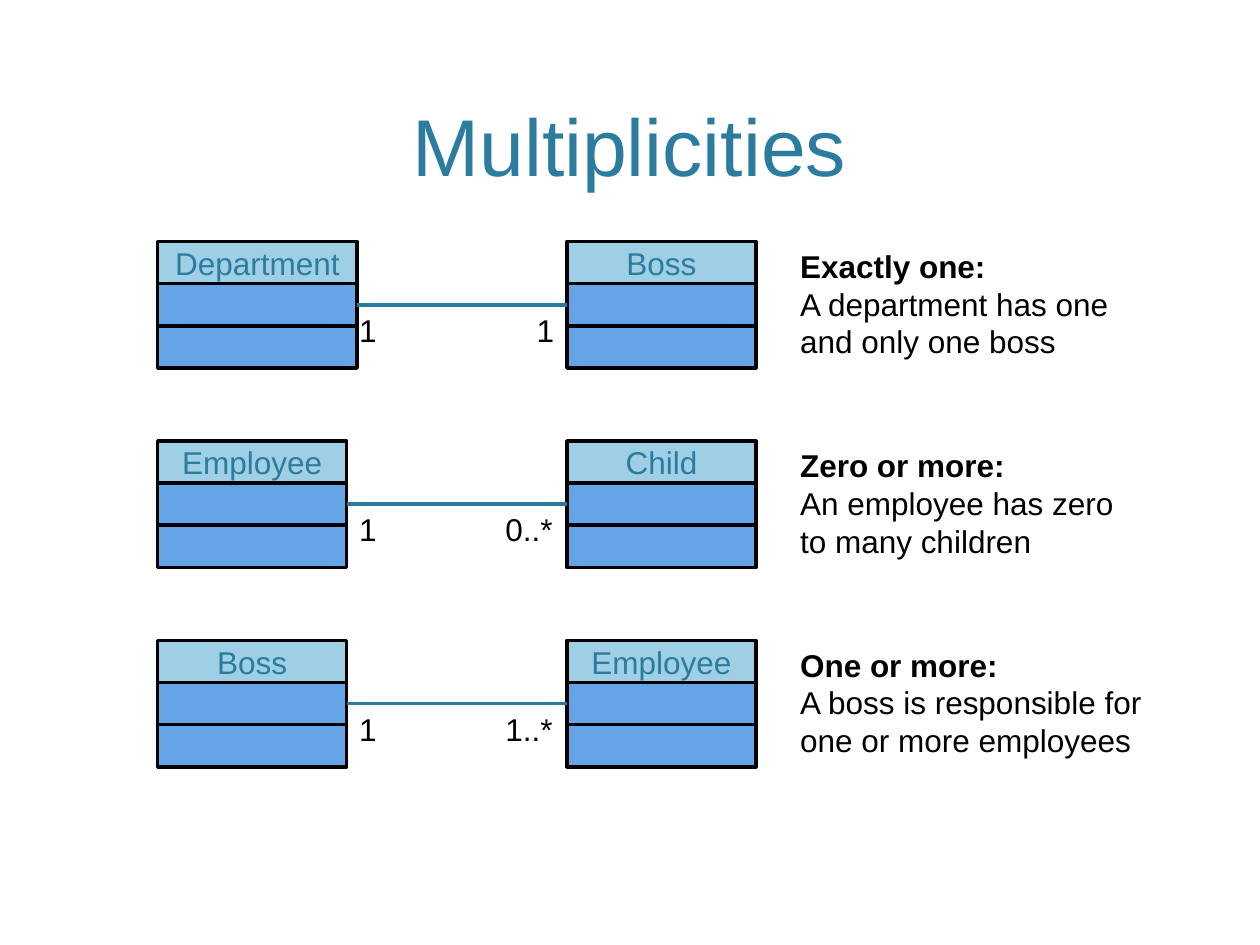
from pptx import Presentation
from pptx.dml.color import RGBColor
from pptx.enum.shapes import MSO_CONNECTOR, MSO_SHAPE
from pptx.enum.text import MSO_ANCHOR, MSO_AUTO_SIZE, PP_ALIGN
from pptx.util import Cm, Pt
from lxml import etree

TEAL = RGBColor(0x2C, 0x7C, 0x9F)
LINE_TEAL = RGBColor(0x28, 0x7A, 0x9E)
HEADER = RGBColor(0x9F, 0xCF, 0xE4)
BODY = RGBColor(0x66, 0xA4, 0xE8)
BLACK = RGBColor(0, 0, 0)
DRAWING_NS = "http://schemas.openxmlformats.org/drawingml/2006/main"

# Lengths in centimetres
ROW_TOP, ROW_STEP, CELL_HEIGHT = 4.87, 4.02, 0.85
LEFT_X, RIGHT_X, CLASS_WIDTH = 3.18, 11.43, 3.81
LABEL_X, LABEL_HEIGHT = 6.99, 1.02
NOTE_X, NOTE_RISE, NOTE_WIDTH, NOTE_HEIGHT = 15.88, 0.02, 7.42, 2.54

# Left class, its width, right class, right multiplicity, label width, note
ASSOCIATIONS = [
    ("Department", 4.02, "Boss", "1", 0.86,
     "Exactly one:", "A department has one and only one boss"),
    ("Employee", CLASS_WIDTH, "Child", "0..*", 1.49,
     "Zero or more:", "An employee has zero to many children"),
    ("Boss", CLASS_WIDTH, "Employee", "1..*", 1.49,
     "One or more:", "A boss is responsible for one or more employees"),
]


def add_span(para, text, color, size=18, bold=False):
    span = para.add_run()
    span.text = text
    span.font.name = "Arial"
    span.font.size = Pt(size)
    span.font.bold = bold
    span.font.color.rgb = color


def add_class(page, name, left, top, width):
    """Draw a three-part class and return its middle compartment."""
    group = page.shapes.add_group_shape()
    cells = []
    for index, fill in enumerate((HEADER, BODY, BODY)):
        cell = group.shapes.add_shape(
            MSO_SHAPE.RECTANGLE, Cm(left), Cm(top + index * CELL_HEIGHT),
            Cm(width), Cm(CELL_HEIGHT))
        cell.shadow.inherit = False
        cell.fill.solid()
        cell.fill.fore_color.rgb = fill
        cell.line.color.rgb = BLACK
        cell.line.width = Pt(2)
        cells.append(cell)
    frame = cells[0].text_frame
    frame.vertical_anchor = MSO_ANCHOR.MIDDLE
    frame.paragraphs[0].alignment = PP_ALIGN.CENTER
    add_span(frame.paragraphs[0], name, TEAL)
    return cells[1]


deck = Presentation()
deck.slide_width, deck.slide_height = Cm(25.4), Cm(19.05)
page = deck.slides.add_slide(deck.slide_layouts[5])

# Title
title = page.shapes.title
title.left, title.top, title.width, title.height = Cm(1.52), Cm(0.3), Cm(22.33), Cm(3.71)
title.text_frame.vertical_anchor = MSO_ANCHOR.BOTTOM
title.text_frame.paragraphs[0].alignment = PP_ALIGN.CENTER
add_span(title.text_frame.paragraphs[0], "Multiplicities", TEAL, 46)

for row, association in enumerate(ASSOCIATIONS):
    source, source_width, target, multiplicity, label_width, heading, detail = association
    top = ROW_TOP + row * ROW_STEP
    middle = top + 1.5 * CELL_HEIGHT

    # Classes
    source_cell = add_class(page, source, LEFT_X, top, source_width)
    target_cell = add_class(page, target, RIGHT_X, top, CLASS_WIDTH)

    # Association line
    link = page.shapes.add_connector(
        MSO_CONNECTOR.STRAIGHT, Cm(LEFT_X + source_width), Cm(middle),
        Cm(RIGHT_X), Cm(middle))
    link.begin_connect(source_cell, 3)
    link.end_connect(target_cell, 1)
    link.line.color.rgb = LINE_TEAL
    link.line.width = Pt(2)
    etree.SubElement(link._element.spPr, f"{{{DRAWING_NS}}}effectLst")

    # Multiplicity at each end
    for text, left, width in (("1", LABEL_X, 0.86),
                              (multiplicity, RIGHT_X - label_width, label_width)):
        label = page.shapes.add_textbox(Cm(left), Cm(middle), Cm(width), Cm(LABEL_HEIGHT))
        label.text_frame.word_wrap = False
        label.text_frame.auto_size = MSO_AUTO_SIZE.SHAPE_TO_FIT_TEXT
        add_span(label.text_frame.paragraphs[0], text, BLACK)

    # Explanation
    note = page.shapes.add_textbox(
        Cm(NOTE_X), Cm(top - NOTE_RISE), Cm(NOTE_WIDTH), Cm(NOTE_HEIGHT))
    note.text_frame.word_wrap = True
    note.text_frame.auto_size = MSO_AUTO_SIZE.SHAPE_TO_FIT_TEXT
    add_span(note.text_frame.paragraphs[0], heading, BLACK, bold=True)
    add_span(note.text_frame.add_paragraph(), detail, BLACK)

deck.save("out.pptx")
